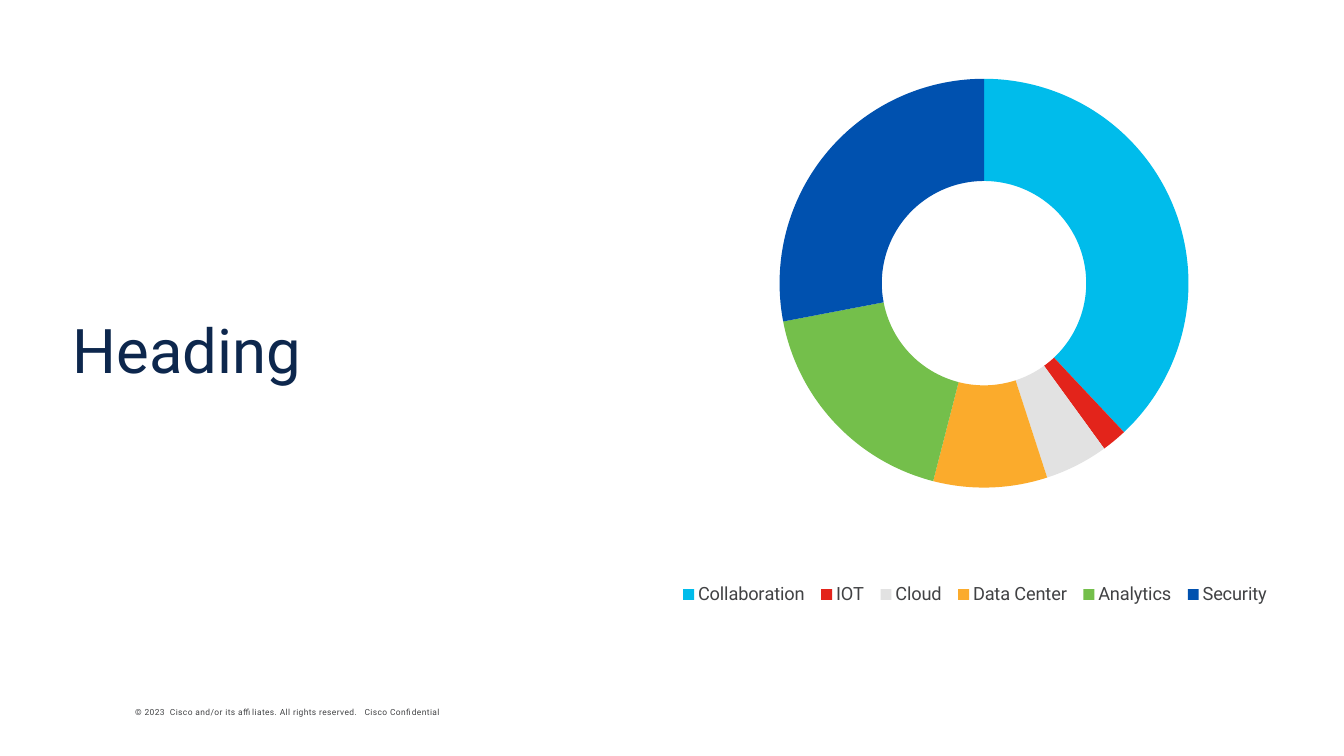
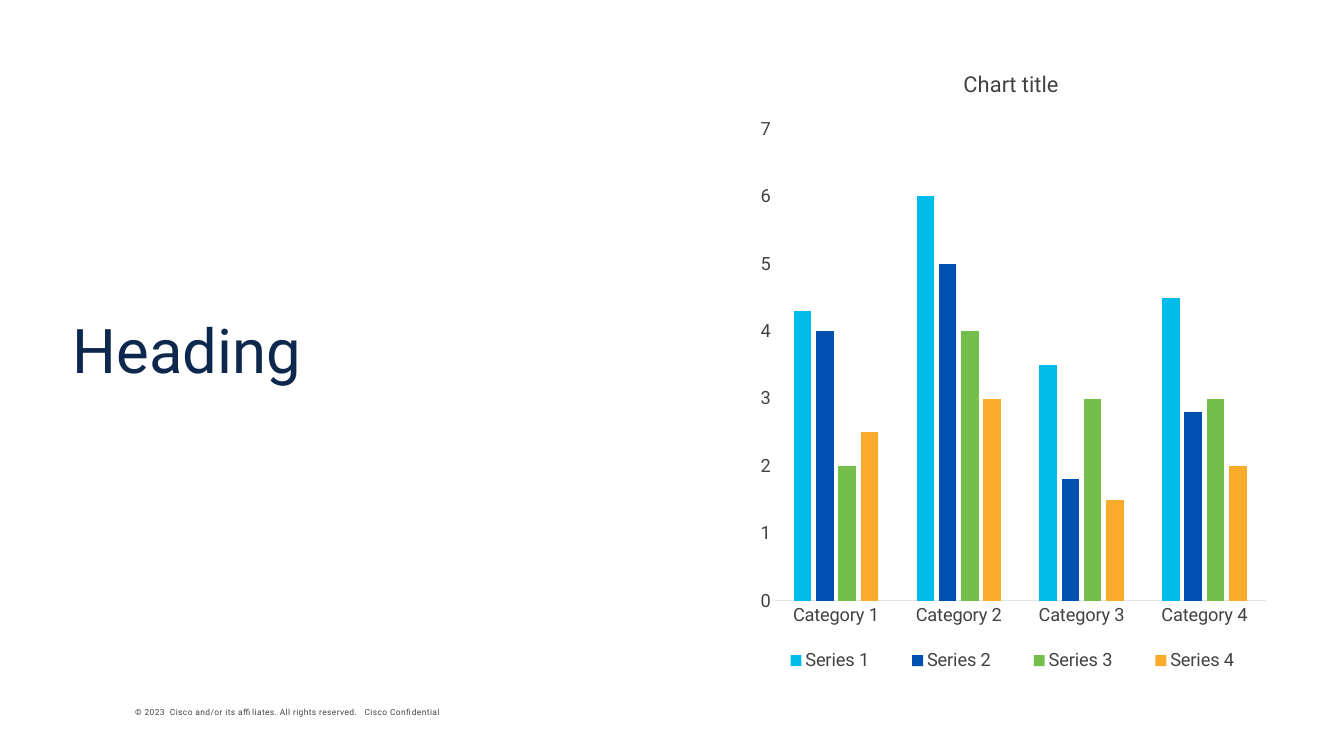
from dataclasses import dataclass
from typing import Any, Optional

from lxml.etree import SubElement
from pptx import Presentation
from pptx.chart.data import CategoryChartData
from pptx.dml.color import RGBColor
from pptx.enum.chart import XL_CHART_TYPE as ChartType
from pptx.enum.chart import XL_LEGEND_POSITION as LegendPos
from pptx.enum.chart import XL_TICK_MARK as Tick
from pptx.enum.text import MSO_ANCHOR as Anchor
from pptx.enum.text import MSO_AUTO_SIZE as AutoSize
from pptx.enum.text import PP_ALIGN as Align
from pptx.oxml.ns import qn
from pptx.util import Pt

# Shared scale, type and palette
PX = 9144  # 100 px to the inch
FONT = "Roboto"
NAVY, GREY, RULE = "0D274D", "414244", "E2E3E3"
SKY, BLUE, GREEN, ORANGE = "00BCEB", "0051AF", "74BF4B", "FBAB2C"
RED, SILVER = "E3241B", "E2E2E2"
FOOTER = ("© 2023  Cisco and/or its affiliates. All rights reserved."
          "   Cisco Confidential")

TITLE_FRAME = dict(vertical_anchor=Anchor.MIDDLE, word_wrap=True,
                   auto_size=AutoSize.NONE, margin_left=5 * PX,
                   margin_right=5 * PX, margin_top=5 * PX,
                   margin_bottom=5 * PX)
FOOTER_FRAME = dict(vertical_anchor=Anchor.BOTTOM, word_wrap=True,
                    margin_left=9 * PX, margin_right=9 * PX,
                    margin_top=4 * PX, margin_bottom=4 * PX)


@dataclass(frozen=True)
class Box:
    x: int
    y: int
    w: int
    h: int

    def emu(self) -> tuple[int, ...]:
        return tuple(v * PX for v in (self.x, self.y, self.w, self.h))


@dataclass(frozen=True)
class Series:
    name: str
    values: tuple[float, ...]
    color: Optional[str] = None


@dataclass(frozen=True)
class ChartSpec:
    kind: ChartType
    box: Box
    categories: tuple[str, ...]
    series: tuple[Series, ...]
    plot: dict[str, float]  # inner plot area, as fractions of the chart
    legend: dict[str, float]  # legend area, as fractions of the chart


TITLE_BOX = Box(67, 262, 502, 182)
FOOTER_BOX = Box(125, 696, 496, 19)

SHARES = ChartSpec(
    ChartType.DOUGHNUT, Box(667, 47, 600, 624),
    ("Collaboration", "IOT", "Cloud", "Data Center", "Analytics", "Security"),
    (Series("Series 1", (38, 2, 5, 9, 18, 28)),),
    plot=dict(x=0.1, y=0.05, w=0.83, h=0.65),
    legend=dict(x=0, y=0.83, w=1, h=0.08))
SHARE_COLORS = (SKY, RED, SILVER, ORANGE, GREEN, BLUE)

COLUMNS = ChartSpec(
    ChartType.COLUMN_CLUSTERED, Box(742, 47, 524, 624),
    tuple(f"Category {n}" for n in range(1, 5)),
    (Series("Series 1", (4.3, 6, 3.5, 4.5), SKY),
     Series("Series 2", (4, 5, 1.8, 2.8), BLUE),
     Series("Series 3", (2, 4, 3, 3), GREEN),
     Series("Series 4", (2.5, 3, 1.5, 2), ORANGE)),
    plot=dict(x=0.05, y=0.13, w=0.93, h=0.75),
    legend=dict(x=0.01, y=0.95, w=0.98, h=0.05))


# Formatting helpers
def rgb(color: str) -> RGBColor:
    return RGBColor.from_string(color)


def apply(obj: Any, values: dict[str, Any]) -> None:
    for name, value in values.items():
        setattr(obj, name, value)


def set_font(font: Any, size: float, color: str) -> None:
    apply(font, dict(name=FONT, size=Pt(size), bold=False))
    font.color.rgb = rgb(color)


def paint(part: Any, color: str) -> None:
    part.format.fill.solid()
    part.format.fill.fore_color.rgb = rgb(color)
    part.format.line.fill.background()


def place(parent: Any, index: int, fractions: dict[str, float],
          inner: bool = False) -> None:
    """Give a chart part a fixed place within the chart."""
    for old in parent.findall(qn("c:layout")):
        parent.remove(old)
    layout = SubElement(parent, qn("c:layout"))
    parent.insert(index, layout)
    manual = SubElement(layout, qn("c:manualLayout"))
    settings = {"layoutTarget": "inner"} if inner else {}
    settings |= {"xMode": "edge", "yMode": "edge"}
    settings |= {key: str(value) for key, value in fractions.items()}
    for tag, value in settings.items():
        SubElement(manual, qn(f"c:{tag}")).set("val", value)


# Slide parts
def add_slide(prs: Any, heading: str) -> Any:
    s = prs.slides.add_slide(prs.slide_layouts[5])
    title = s.shapes.title
    apply(title, dict(zip(("left", "top", "width", "height"),
                          TITLE_BOX.emu())))
    tf = title.text_frame
    tf.text = heading
    apply(tf, TITLE_FRAME)
    p = tf.paragraphs[0]
    apply(p, dict(alignment=Align.LEFT, line_spacing=0.8))
    set_font(p.runs[0].font, 44, NAVY)

    tf = s.shapes.add_textbox(*FOOTER_BOX.emu()).text_frame
    apply(tf, FOOTER_FRAME)
    r = tf.paragraphs[0].add_run()
    r.text = FOOTER
    set_font(r.font, 6, GREY)
    r.font._element.set("spc", "27")
    return s


def add_chart(s: Any, spec: ChartSpec) -> Any:
    data = CategoryChartData()
    data.categories = spec.categories
    for item in spec.series:
        data.add_series(item.name, item.values)
    chart = s.shapes.add_chart(spec.kind, *spec.box.emu(), data).chart
    set_font(chart.font, 13, GREY)
    apply(chart, dict(has_title=False, has_legend=True))
    apply(chart.legend, dict(position=LegendPos.BOTTOM,
                             include_in_layout=False))
    set_font(chart.legend.font, 13, GREY)
    place(chart.legend._element, 1, spec.legend)
    place(chart._chartSpace.chart.plotArea, 0, spec.plot, inner=True)
    return chart


def add_doughnut(s: Any) -> None:
    chart = add_chart(s, SHARES)
    plot = chart.plots[0]
    plot.vary_by_categories = True
    for i, color in enumerate(SHARE_COLORS):
        paint(plot.series[0].points[i], color)
    plot._element.find(qn("c:holeSize")).set("val", "75")


def add_columns(s: Any) -> None:
    chart = add_chart(s, COLUMNS)
    plot = chart.plots[0]
    apply(plot, dict(vary_by_categories=False, gap_width=219, overlap=-27))
    for series, item in zip(plot.series, COLUMNS.series):
        paint(series, item.color)

    # Axes
    for axis in (chart.category_axis, chart.value_axis):
        apply(axis, dict(major_tick_mark=Tick.NONE, minor_tick_mark=Tick.NONE,
                         has_major_gridlines=False))
        set_font(axis.tick_labels.font, 13, GREY)
    line = chart.category_axis.format.line
    line.color.rgb = rgb(RULE)
    line.width = Pt(0.75)
    apply(chart.value_axis, dict(minimum_scale=0, maximum_scale=7,
                                 major_unit=1))
    chart.value_axis.format.line.fill.background()

    # Chart title
    chart.has_title = True
    title = chart.chart_title
    title.include_in_layout = False
    title.text_frame.text = "Chart title"
    set_font(title.text_frame.paragraphs[0].runs[0].font, 15.6, GREY)
    place(title._element, 1, dict(x=0.4, y=0.03))


def main() -> None:
    prs = Presentation()
    apply(prs, dict(slide_width=1333 * PX, slide_height=750 * PX))
    for draw in (add_doughnut, add_columns):
        draw(add_slide(prs, "Heading"))
    prs.save("out.pptx")


if __name__ == "__main__":
    main()
